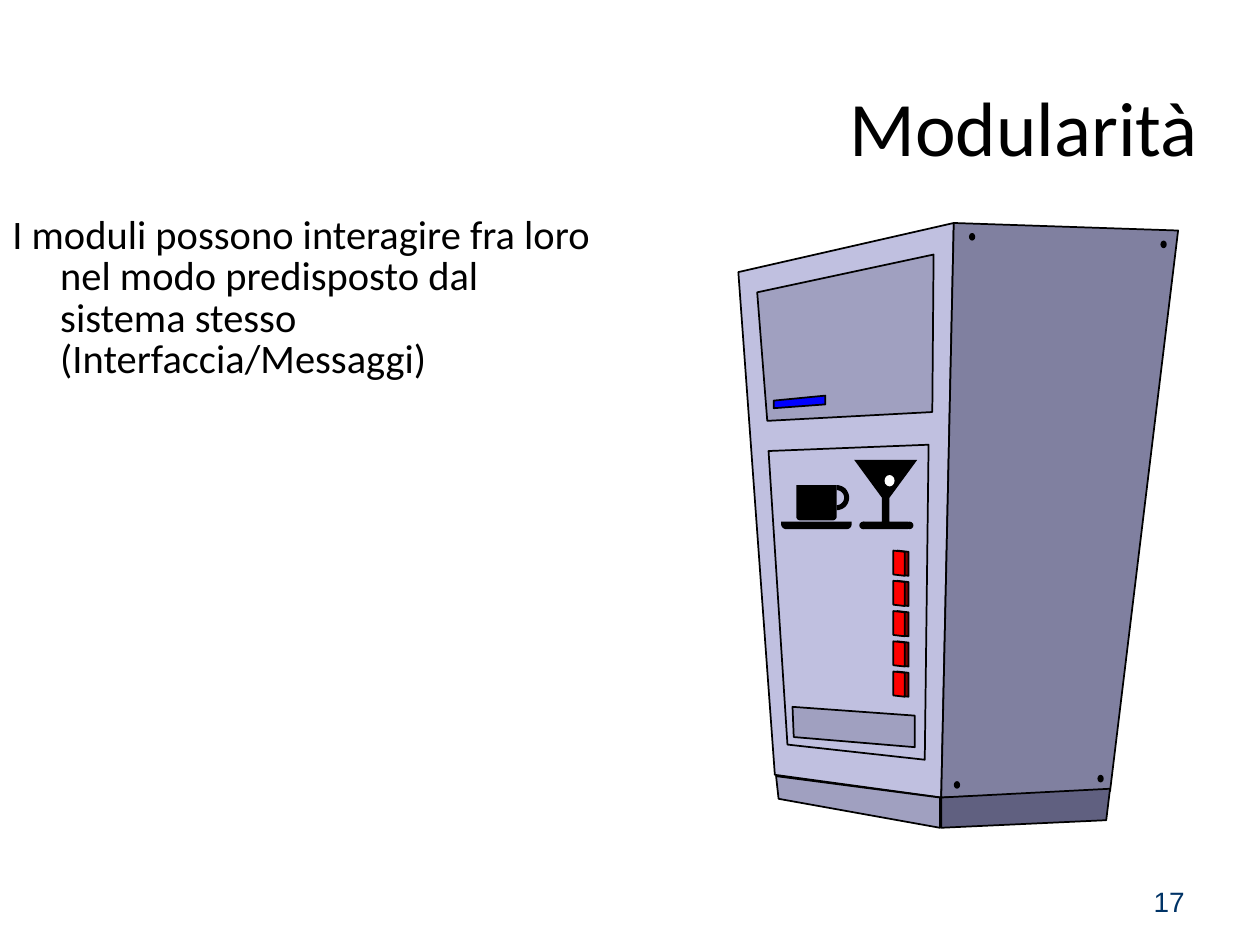
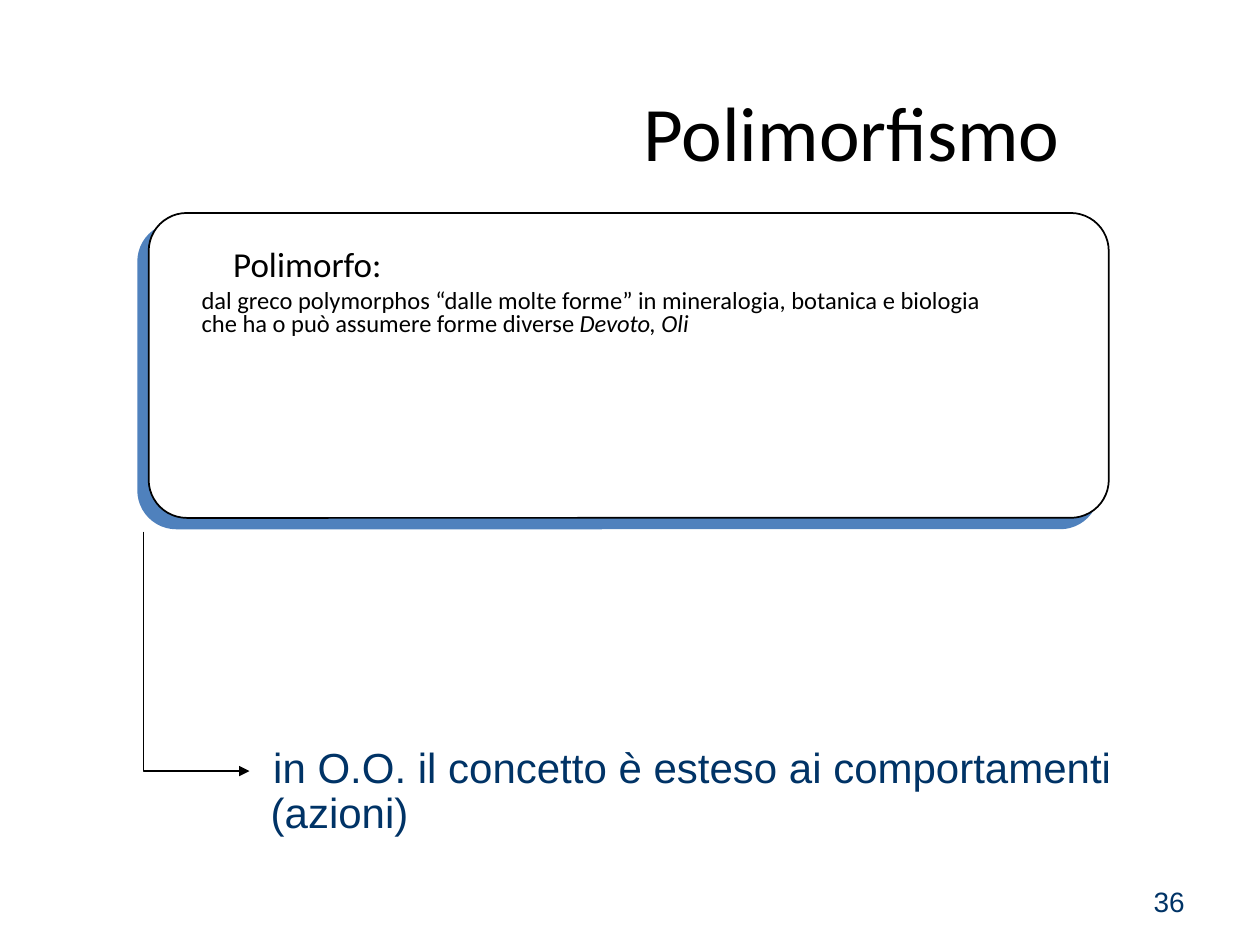
from math import cos, pi, sin

from lxml.etree import SubElement
from pptx import Presentation
from pptx.dml.color import RGBColor
from pptx.enum.shapes import MSO_SHAPE as Shape
from pptx.enum.text import MSO_ANCHOR as Anchor, PP_ALIGN as Align
from pptx.oxml.ns import qn
from pptx.util import Inches, Pt

WIDTH, HEIGHT = 10, 7.5
UNITS = 1000
BLACK, WHITE, NAVY, SHADOW = "000000", "FFFFFF", "003366", "4F81BD"
PALE, GREY, SLATE, DARK = "C0C0E0", "A0A0C0", "8080A0", "606080"
RED, MAROON, BLUE = "FF0000", "800000", "0000FF"

MODULARITY = {
    "title": "Modularità",
    "title_at": (6.25, 0.6, 3.75, 0.79),
    "number": "17",
    "body": "I moduli possono interagire fra loro nel modo predisposto dal "
            "sistema stesso (Interfaccia/Messaggi)",
}
POLYMORPHISM = {
    "title": "Polimorfismo",
    "title_at": (3.52, 0.6, 6.48, 0.87),
    "number": "36",
    "term": "Polimorfo:",
    "meaning": "dal greco polymorphos “dalle molte forme” in mineralogia, botanica "
               "e biologia che ha o può assumere forme diverse",
    "source": "Devoto, Oli",
    "extension": "in O.O. il concetto è esteso ai comportamenti (azioni)",
}

FRONT_PANELS = [
    (PALE, [(7.57, 1.77), (7.47, 6.33), (6.15, 6.15), (5.86, 2.16)]),
    (GREY, [(7.46, 6.33), (7.46, 6.57), (6.18, 6.34), (6.16, 6.16)]),
    (GREY, [(7.41, 2.02), (7.4, 3.27), (6.09, 3.34), (6.01, 2.32)]),
    (BLUE, [(6.55, 3.14), (6.14, 3.18), (6.14, 3.24), (6.55, 3.21)]),
    (PALE, [(7.37, 3.53), (7.34, 6.03), (6.25, 5.91), (6.1, 3.58)]),
    (GREY, [(7.26, 5.68), (6.29, 5.61), (6.3, 5.85), (7.26, 5.93)]),
]
SIDE_PANELS = [
    (SLATE, [(9.35, 1.83), (8.81, 6.28), (7.47, 6.33), (7.57, 1.77)]),
    (DARK, [(8.81, 6.26), (7.47, 6.33), (7.47, 6.57), (8.78, 6.51)]),
]
SCREWS = [(9.21, 1.91), (7.69, 1.85), (8.71, 6.15), (7.57, 6.2)]
BUTTON = [(0.09, 0.01), (0.09, 0.2), (0, 0.19), (0, 0)]
BUTTON_COUNT, BUTTON_LEFT, BUTTON_TOP, BUTTON_STEP = 5, 7.09, 4.37, 0.24
GLASS = [(6.78, 3.65), (7.28, 3.65), (7.06, 3.95), (7.06, 4.14), (7.21, 4.14),
         (7.21, 4.2), (6.85, 4.2), (6.85, 4.14), (7, 4.14), (7, 3.95)]
GLASS_ROUNDS = [(WHITE, (7.02, 3.77, 0.08, 0.09)),
                (BLACK, (6.82, 4.14, 0.06, 0.06)),
                (BLACK, (7.19, 4.14, 0.06, 0.06))]
CARD = (1.18, 1.69, 7.62, 2.42)
ARROW = [(1.14, 4.22), (1.14, 6.12), (1.98, 6.12)]


def colour(code):
    return RGBColor.from_string(code)


def place(at):
    return [Inches(length) for length in at]


def paint(shape, fill=None, line=None):
    shape.shadow.inherit = False
    if fill:
        shape.fill.solid()
        shape.fill.fore_color.rgb = colour(fill)
    else:
        shape.fill.background()
    if line:
        shape.line.color.rgb = colour(line)
        shape.line.width = Pt(1)
    else:
        shape.line.fill.background()
    return shape


def outline(shapes, points, fill=None, line=None, close=True):
    start, *rest = [(x * UNITS, y * UNITS) for x, y in points]
    builder = shapes.build_freeform(*start, scale=Inches(1) / UNITS)
    builder.add_line_segments(rest, close=close)
    return paint(builder.convert_to_shape(), fill, line)


def oval(shapes, at, fill):
    return paint(shapes.add_shape(Shape.OVAL, *place(at)), fill)


def arc(x, y, radius, start, end, steps=16):
    angles = [start + (end - start) * step / steps for step in range(steps + 1)]
    return [(x + radius * cos(angle), y + radius * sin(angle)) for angle in angles]


def round_bottom(left, top, width, height, radius):
    right, low = left + width, top + height - radius
    return [(left, top), (right, top),
            *arc(right - radius, low, radius, 0, pi / 2),
            *arc(left + radius, low, radius, pi / 2, pi)]


def write(frame, text, size=14, font="Calibri", ink=BLACK, align=Align.LEFT,
          spacing=None, before=0, left=0, hang=0, tab=None, italic_end="", first=True):
    para = frame.paragraphs[0] if first else frame.add_paragraph()
    properties = para._p.get_or_add_pPr()
    properties.set("marL", str(Inches(left)))
    properties.set("indent", str(Inches(hang)))
    if tab:
        tabs = SubElement(properties, qn("a:tabLst"))
        SubElement(tabs, qn("a:tab"), pos=str(Inches(tab)), algn="l")
    para.alignment = align
    para.space_before = Pt(before)
    if spacing:
        para.line_spacing = spacing
    pieces = [(text, False), ("\t" + italic_end, True)] if italic_end else [(text, False)]
    for words, italic in pieces:
        span = para.add_run()
        span.text = words
        span.font.name, span.font.size = font, Pt(size)
        span.font.italic = italic
        span.font.color.rgb = colour(ink)


def text_box(page, at):
    frame = page.shapes.add_textbox(*place(at)).text_frame
    frame.word_wrap = True
    return frame


def add_page(deck, content):
    page = deck.slides.add_slide(deck.slide_layouts[5])
    title = page.shapes.title
    title.left, title.top, title.width, title.height = place(content["title_at"])
    title.text_frame.vertical_anchor = Anchor.MIDDLE
    write(title.text_frame, content["title"], size=44, align=Align.CENTER)
    number = text_box(page, (7.17, 6.95, 2.33, 0.4))
    number.vertical_anchor = Anchor.MIDDLE
    write(number, content["number"], size=16, font="Arial", ink=NAVY, align=Align.RIGHT)
    return page


def draw_machine(page):
    machine = page.shapes.add_group_shape().shapes
    for fill, points in FRONT_PANELS:
        outline(machine, points, fill, BLACK)
    for fill, shift in ((MAROON, 0.03), (RED, 0)):
        for row in range(BUTTON_COUNT):
            left, top = BUTTON_LEFT + shift, BUTTON_TOP + row * BUTTON_STEP
            outline(machine, [(left + x, top + y) for x, y in BUTTON], fill, BLACK)
    for fill, points in SIDE_PANELS:
        outline(machine, points, fill, BLACK)
    for left, top in SCREWS:
        oval(machine, (left, top, 0.05, 0.06), BLACK)


def draw_cup(page):
    cup = page.shapes.add_group_shape().shapes
    outline(cup, round_bottom(6.2, 4.14, 0.56, 0.06, 0.04), BLACK)
    outline(cup, round_bottom(6.32, 3.85, 0.32, 0.28, 0.03), BLACK)
    handle = arc(6.64, 3.95, 0.1, -pi / 2, pi / 2) + arc(6.64, 3.95, 0.06, pi / 2, -pi / 2)
    outline(cup, handle, BLACK)


def draw_glass(page):
    glass = page.shapes.add_group_shape().shapes
    outline(glass, GLASS, BLACK)
    for fill, at in GLASS_ROUNDS:
        oval(glass, at, fill)


def draw_card(page):
    card = paint(page.shapes.add_shape(Shape.ROUNDED_RECTANGLE, *place(CARD)), WHITE, BLACK)
    card.adjustments[0] = 0.125
    effects = card._element.spPr.find(qn("a:effectLst"))
    shadow = SubElement(effects, qn("a:outerShdw"), dist=str(Pt(8.5)),
                        dir=str(135 * 60000), algn="ctr", rotWithShape="0")
    SubElement(shadow, qn("a:srgbClr"), val=SHADOW)


def draw_arrow(page):
    arrow = outline(page.shapes, ARROW, line=BLACK, close=False)
    SubElement(arrow.line._get_or_add_ln(), qn("a:tailEnd"), type="triangle")


def modularity_page(deck):
    page = add_page(deck, MODULARITY)
    body = text_box(page, (0, 1.67, 4.86, 1.54))
    write(body, MODULARITY["body"], size=23.1, spacing=0.85, left=0.38, hang=-0.38)
    draw_machine(page)
    draw_cup(page)
    draw_glass(page)


def polymorphism_page(deck):
    page = add_page(deck, POLYMORPHISM)
    draw_card(page)
    body = text_box(page, (0, 1.94, 7.98, 1.04))
    body.margin_left = Inches(1.6)
    write(body, POLYMORPHISM["term"], size=20, spacing=0.8, left=0.25)
    write(body, POLYMORPHISM["meaning"], spacing=0.8, before=3.5, tab=4.78,
          italic_end=POLYMORPHISM["source"], first=False)
    draw_arrow(page)
    extension = text_box(page, (1.55, 5.88, 7.98, 1.04))
    write(extension, POLYMORPHISM["extension"], size=24, font="Arial", ink=NAVY,
          spacing=0.9, left=0.5, hang=0.02)


def main():
    deck = Presentation()
    deck.slide_width, deck.slide_height = Inches(WIDTH), Inches(HEIGHT)
    modularity_page(deck)
    polymorphism_page(deck)
    deck.save("out.pptx")


if __name__ == "__main__":
    main()
